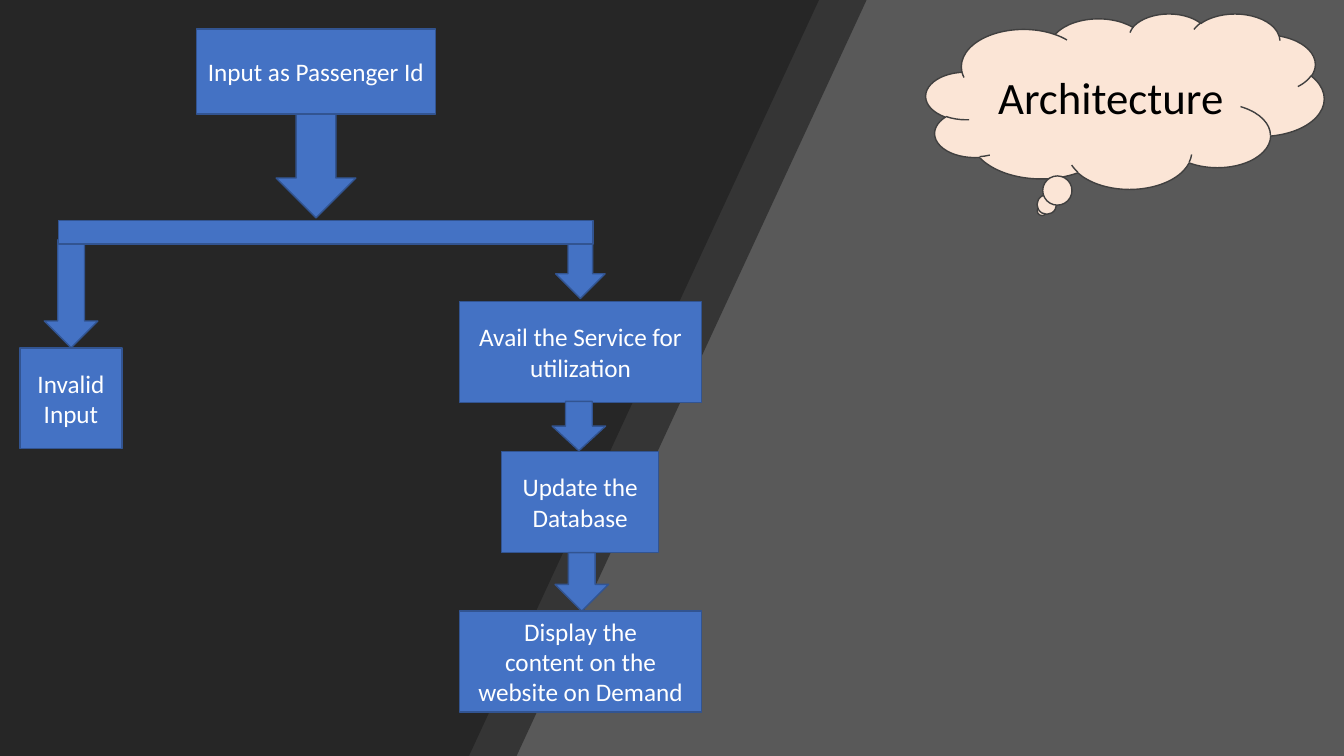
from lxml.etree import SubElement
from pptx import Presentation
from pptx.dml.color import RGBColor
from pptx.enum.shapes import MSO_SHAPE as Preset
from pptx.enum.text import MSO_ANCHOR as Anchor, MSO_AUTO_SIZE as AutoSize, PP_ALIGN as Align
from pptx.oxml.ns import qn
from pptx.util import Pt

WIDTH, HEIGHT = 960, 540
FONT = "Calibri"
BLUE, BLUE_EDGE = "4472C4", "325491"
DARK, GREY, WHITE, BLACK = "262626", "595959", "FFFFFF", "000000"
PEACH, CLOUD_EDGE = "FBE5D6", "404040"
HARD_SPACE = chr(160)

# Each entry: text, left, top, width, height
STEPS = [
    ("Input as Passenger Id", 140.4, 20.7, 170.6, 60.7),
    ("Invalid\nInput", 14.2, 248.6, 73, 72),
    ("Avail the Service for utilization", 328.3, 215.4, 172.8, 72),
    ("Update the Database", 358.3, 322.5, 112.3, 72),
    (f"Display the content{HARD_SPACE}on the website on Demand", 328.3, 436.5, 172.8, 72),
]
# Each entry: left, top, width, height
BRANCH_ARROWS = [
    (197.3, 81.4, 56.9, 74.2),
    (31.7, 171.4, 38.2, 77),
    (396.9, 171.4, 35.3, 41.8),
]
SERVICE_ARROWS = [
    (394.4, 286.7, 38.2, 35.3),
    (396.5, 394.7, 38.2, 41.8),
]
BRANCH_BAR = (-27.2, 129.8, 519.8, 72)
CLOUD = (661.4, 9.6, 284.4, 125.3)
TITLE = (700.6, 28.5, 185.8, 81.7)


def paint(fill, color):
    fill.solid()
    fill.fore_color.rgb = RGBColor.from_string(color)


def write(shape, text, size, color):
    """Fill a shape with centred text."""
    frame = shape.text_frame
    frame.text = text
    frame.word_wrap = True
    frame.auto_size = AutoSize.NONE
    frame.vertical_anchor = Anchor.MIDDLE
    for para in frame.paragraphs:
        para.alignment = Align.CENTER
        for span in para.runs:
            span.font.name = FONT
            span.font.size = Pt(size)
            span.font.color.rgb = RGBColor.from_string(color)


def add_panel(page, top_right, bottom_right, alpha=None):
    """Draw a slanted background panel; alpha is its opacity in percent."""
    builder = page.shapes.build_freeform(0, 0, scale=Pt(1))
    builder.add_line_segments(
        [(top_right, 0), (bottom_right, HEIGHT), (0, HEIGHT)], close=True)
    panel = builder.convert_to_shape()
    panel.shadow.inherit = False
    paint(panel.fill, DARK)
    panel.line.fill.background()
    if alpha is not None:
        color = panel.element.spPr.find(".//" + qn("a:srgbClr"))
        SubElement(color, qn("a:alpha"), val=str(alpha * 1000))


def add_preset(page, preset, bounds, color=BLUE, edge=BLUE_EDGE):
    shape = page.shapes.add_shape(preset, *map(Pt, bounds))
    shape.shadow.inherit = False
    paint(shape.fill, color)
    paint(shape.line.fill, edge)
    shape.line.width = Pt(1)
    return shape


def add_step(page, text, *bounds):
    write(add_preset(page, Preset.RECTANGLE, bounds), text, 18, WHITE)


def add_title_cloud(page, text):
    """Draw the thought cloud and bring the title in front of it."""
    add_preset(page, Preset.CLOUD_CALLOUT, CLOUD, PEACH, CLOUD_EDGE)
    title = page.shapes.title
    title.left, title.top, title.width, title.height = map(Pt, TITLE)
    write(title, text, 32, BLACK)
    title.element.getparent().append(title.element)


def main():
    deck = Presentation()
    deck.slide_width, deck.slide_height = Pt(WIDTH), Pt(HEIGHT)
    page = deck.slides.add_slide(deck.slide_layouts.get_by_name("Title Only"))
    paint(page.background.fill, GREY)

    add_panel(page, 619.2, 368.6, alpha=70)
    add_panel(page, 585.4, 334.8)
    for bounds in BRANCH_ARROWS:
        add_preset(page, Preset.DOWN_ARROW, bounds)
    add_preset(page, Preset.MATH_MINUS, BRANCH_BAR)
    add_title_cloud(page, "Architecture")
    for step in STEPS:
        add_step(page, *step)
    for bounds in SERVICE_ARROWS:
        add_preset(page, Preset.DOWN_ARROW, bounds)

    deck.save("out.pptx")


if __name__ == "__main__":
    main()
